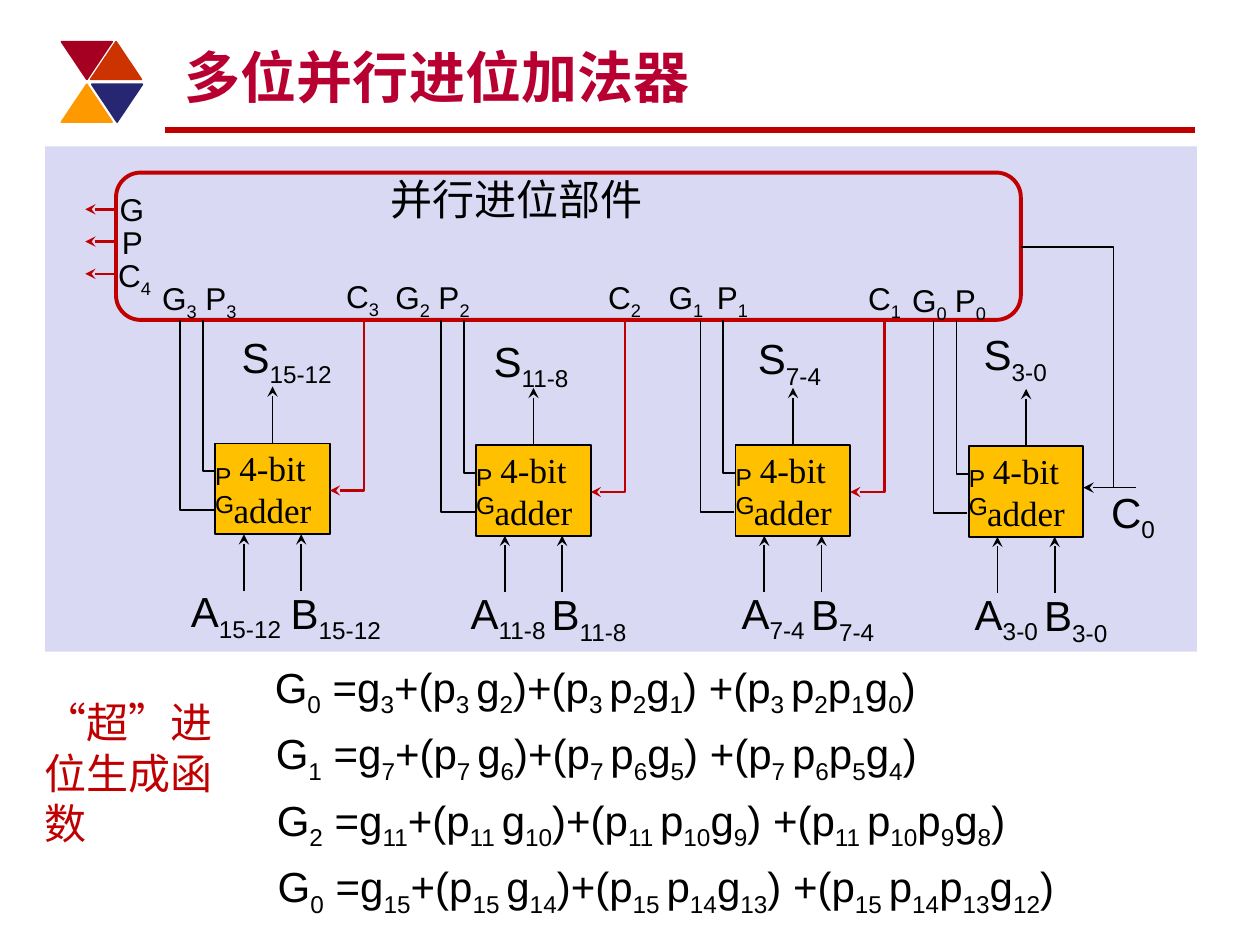
from pptx import Presentation
from pptx.dml.color import RGBColor
from pptx.enum.shapes import MSO_CONNECTOR, MSO_SHAPE
from pptx.enum.text import MSO_ANCHOR, PP_ALIGN
from pptx.oxml.ns import qn
from pptx.util import Cm, Pt
from lxml import etree

STRAIGHT, ELBOW = MSO_CONNECTOR.STRAIGHT, MSO_CONNECTOR.ELBOW
RECT, ROUND = MSO_SHAPE.RECTANGLE, MSO_SHAPE.ROUNDED_RECTANGLE
TRIANGLE = MSO_SHAPE.ISOSCELES_TRIANGLE
MIDDLE, BOTTOM = MSO_ANCHOR.MIDDLE, MSO_ANCHOR.BOTTOM
CENTER = PP_ALIGN.CENTER

INK = {
    "black": "000000", "red": "C00000", "title": "B70031",
    "panel": "D9D9F3", "gold": "FFC000", "wine": "A50021",
    "rust": "CC3300", "amber": "FF9900", "navy": "262673",
}
ADDER = (2.31, 1.83)


def tint(name):
    return RGBColor.from_string(INK[name])


def block(slide, kind, box, fill=None, line=None, width=1):
    shape = slide.shapes.add_shape(kind, *map(Cm, box))
    shape.shadow.inherit = False
    if fill:
        shape.fill.solid()
        shape.fill.fore_color.rgb = tint(fill)
    else:
        shape.fill.background()
    if line:
        shape.line.color.rgb = tint(line)
        shape.line.width = Pt(width)
    else:
        shape.line.fill.background()
    return shape


def style(run, size, color="black", face="Arial", bold=False):
    run.font.size = Pt(size)
    run.font.name = face
    run.font.bold = bold
    run.font.color.rgb = tint(color)


def label(slide, text, box, size=24, color="black", wrap=True, bold=False):
    shape = slide.shapes.add_textbox(*map(Cm, box))
    frame = shape.text_frame
    frame.word_wrap = wrap
    para = frame.paragraphs[0]
    for order, part in enumerate(text.split("|")):
        run = para.add_run()
        run.text = part
        style(run, size, color, bold=bold)
        if order % 2:
            run._r.get_or_add_rPr().set("baseline", "-25000")
    return frame


def wire(slide, start, end, color="black", width=1, head=False, kind=STRAIGHT):
    link = slide.shapes.add_connector(kind, *map(Cm, (*start, *end)))
    link.line.color.rgb = tint(color)
    link.line.width = Pt(width)
    if head:
        etree.SubElement(link.line._get_or_add_ln(), qn("a:headEnd"), type="stealth")
    etree.SubElement(link._element.spPr, qn("a:effectLst"))
    return link


def bend(slide, start, end, **look):
    link = wire(slide, start, end, kind=ELBOW, **look)
    link._element.spPr.find(qn("a:prstGeom")).set("prst", "bentConnector2")


def riser(slide, start, end):
    wide, tall = start[0] - end[0], start[1] - end[1]
    mid_x, mid_y = (start[0] + end[0]) / 2, (start[1] + end[1]) / 2
    link = wire(slide, (mid_x - tall / 2, mid_y + wide / 2),
                (mid_x + tall / 2, mid_y - wide / 2), kind=ELBOW)
    link._element.spPr.find(qn("a:xfrm")).set("rot", "16200000")
    geom = link._element.spPr.find(qn("a:prstGeom"))
    guides = geom.find(qn("a:avLst"))
    if guides is None:
        guides = etree.SubElement(geom, qn("a:avLst"))
    etree.SubElement(guides, qn("a:gd"), name="adj1", fmla="val 0")


def header(slide, left, top):
    for dx, dy, color, turn in (
        (0, 0, "wine", 180), (0.59, 0, "rust", 0),
        (0, 0.86, "amber", 0), (0.61, 0.86, "navy", 180),
    ):
        box = (left + dx, top + dy, 1.02, 0.76)
        block(slide, TRIANGLE, box, color, color).rotation = turn
    title = label(slide, "多位并行进位加法器", (left + 2.24, top - 0.2, 20.32, 1.7),
                  32, "title", bold=True)
    title.vertical_anchor = BOTTOM
    wire(slide, (left + 2.09, top + 1.78), (left + 22.84, top + 1.78), "red", 3)


def unit(slide, left, top, wide, tall):
    block(slide, ROUND, (left, top, wide, tall), line="red", width=2.25)
    label(slide, "并行进位部件", (left + 5.28, top - 0.1, 7.82, 1.27))
    ports = [("G", -0.18, 0.23), ("P", -0.13, 0.89), ("C|4", -0.21, 1.55)]
    for row, (text, dx, dy) in enumerate(ports):
        label(slide, text, (left + dx, top + dy, 1.22, 1.02), 18, wrap=False)
        level = top + 0.74 + 0.65 * row
        wire(slide, (left - 0.62, level), (left, level), "red", 1.5, True)
    pins = [
        ("G|0", 15.8, 2.06), ("P|0", 16.66, 2.06), ("C|1", 14.91, 2.03),
        ("G|1", 10.89, 2.01), ("P|1", 11.86, 2.01), ("C|2", 9.67, 2.01),
        ("G|2", 5.38, 2.01), ("P|2", 6.25, 2.01), ("C|3", 4.39, 1.98),
        ("G|3", 0.68, 2.03), ("P|3", 1.55, 2.03),
    ]
    for text, dx, dy in pins:
        label(slide, text, (left + dx, top + dy, 1.22, 1.02), 18, wrap=False)


def adder(slide, left, top, roof, bits, a_dx, s_dx, s_dy):
    wide, tall = ADDER
    shape = block(slide, RECT, (left, top, wide, tall), "gold", "black")
    frame = shape.text_frame
    frame.text = "4-bit adder"
    frame.word_wrap = True
    frame.vertical_anchor = MIDDLE
    frame.paragraphs[0].alignment = CENTER
    style(frame.paragraphs[0].runs[0], 20, face="Times New Roman")
    for dx in (wide / 4, wide * 3 / 4):
        wire(slide, (left + dx, top + tall), (left + dx, top + 2.97), head=True)
    mid = left + wide / 2
    wire(slide, (mid, top - 1.15), (mid, top), head=True)
    for name, dx, dy in (("A", a_dx, 2.74), ("B", 1.27, 2.77), ("S", s_dx, s_dy)):
        label(slide, f"{name}|{bits}", (left + dx, top + dy, 2.9, 1.27))
    for name, dy in (("P", 0.22), ("G", 0.79)):
        label(slide, name, (left - 0.25, top + dy, 0.86, 0.86), 14, wrap=False)
    riser(slide, (left, top + 0.56), (left - 0.25, roof))
    riser(slide, (left - 0.03, top + 1.35), (left - 0.71, roof))


def circuit(slide, left, top, wide, tall):
    block(slide, RECT, (left, top, wide, tall), "panel")
    box = (left + 1.43, top + 0.53, 18.24, 2.97)
    unit(slide, *box)
    edge, roof = box[0] + box[2], box[1] + box[3]
    stages = [
        (18.62, 6.04, "3-0", -0.13, 0.05, -2.49),
        (13.92, 6.02, "7-4", -0.13, 0.2, -2.39),
        (8.69, 6.02, "11-8", -0.36, 0.1, -2.34),
        (3.43, 5.99, "15-12", -0.74, 0.28, -2.39),
    ]
    for order, (dx, dy, *rest) in enumerate(stages):
        x, y = left + dx, top + dy
        adder(slide, x, y, roof, *rest)
        side = x + ADDER[0]
        if order:
            bend(slide, (side, y + 0.95), (side + 0.69, roof),
                 color="red", width=1.5, head=True)
        else:
            wire(slide, (side, y + 0.84), (side + 1.07, y + 0.84), head=True)
            bend(slide, (edge, box[1] + 1.5), (side + 0.61, y + 0.84))
            label(slide, "C|0", (x + 2.62, y + 0.69, 1.55, 1.27))


def sums(slide, left, top, wide):
    label(slide, "“超”进位生成函数", (left, top + 0.71, 4.22, 3.33), color="red")
    for row, (name, bit) in enumerate(((0, 3), (1, 7), (2, 11), (0, 15))):
        a, b, c, d = (bit - step for step in range(4))
        text = (f"G|{name}| =g|{a}|+(p|{a} |g|{b}|)+(p|{a} |p|{b}|g|{c}|)"
                f" +(p|{a} |p|{b}|p|{c}|g|{d}|)")
        box = (left + 3.86 + 0.02 * row, top + 1.34 * row, wide, 1.27)
        para = label(slide, text, box).paragraphs[0]
        props = para._p.get_or_add_pPr()
        props.set("marL", str(Cm(0.79)))
        props.set("indent", "0")


def main():
    deck = Presentation()
    deck.slide_width, deck.slide_height = Cm(25.4), Cm(19.05)
    slide = deck.slides.add_slide(deck.slide_layouts[6])
    header(slide, 1.24, 0.84)
    circuit(slide, 0.91, 2.95, 23.22, 10.19)
    sums(slide, 0.64, 13.21, 19.38)
    deck.save("out.pptx")


if __name__ == "__main__":
    main()
